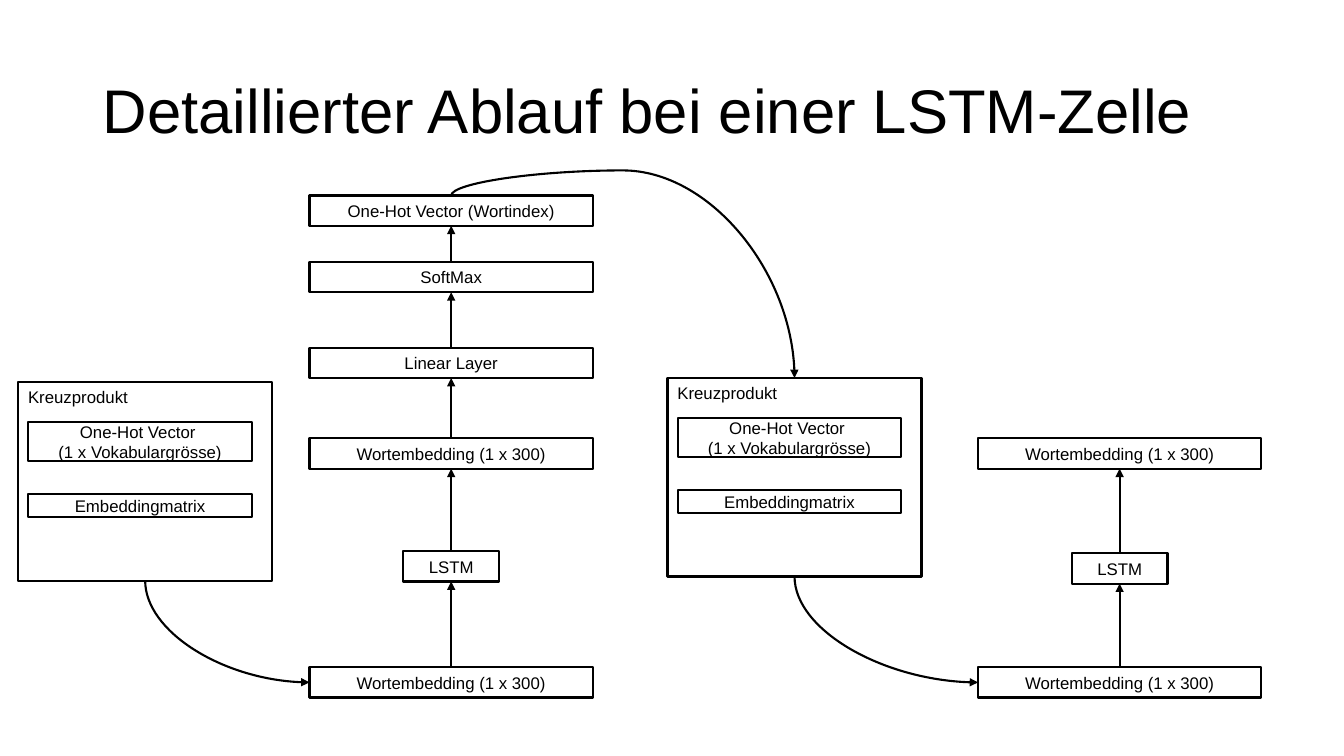
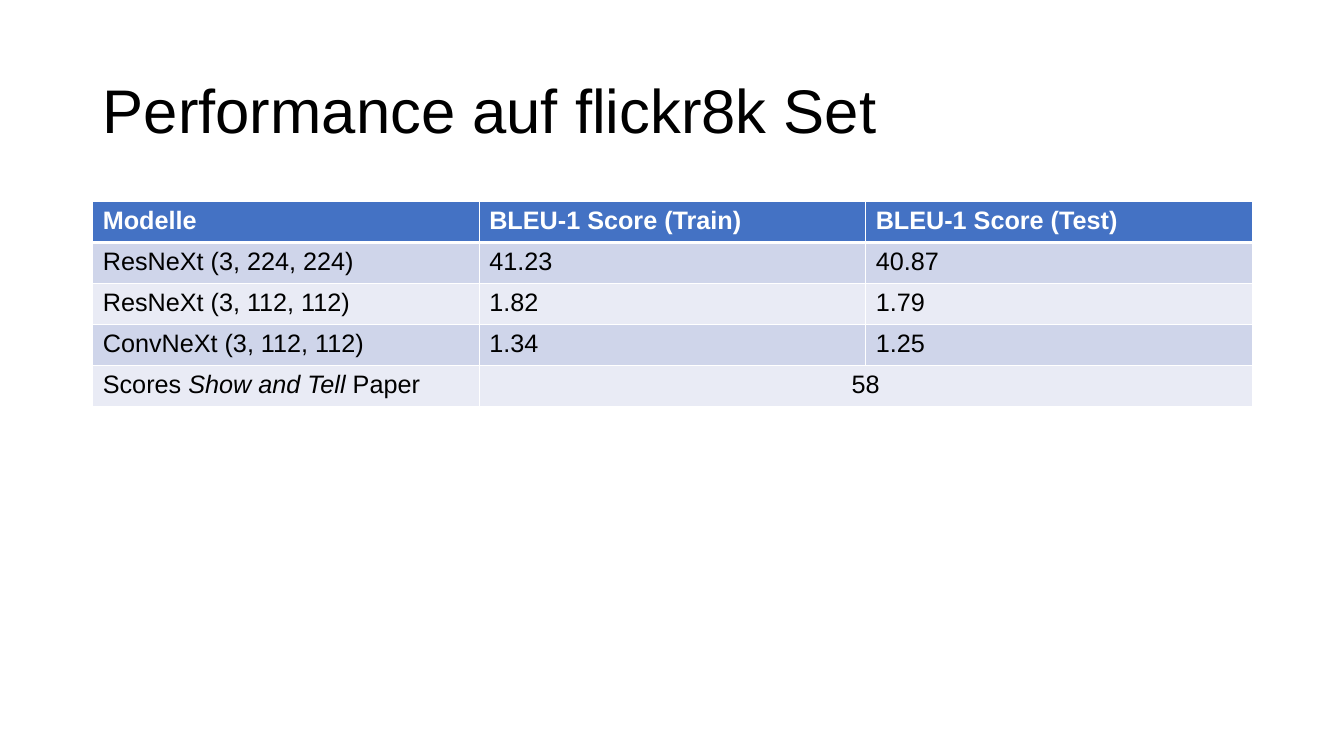
from dataclasses import dataclass
from itertools import pairwise
from typing import NamedTuple

from pptx import Presentation
from pptx import util as u
from pptx.dml.color import RGBColor
from pptx.enum import shapes, text
from pptx.oxml import parse_xml
from pptx.oxml.ns import nsdecls, qn
from pptx.oxml.xmlchemy import OxmlElement

# Shared look
FONT = "Arial"
BLACK = RGBColor(0x00, 0x00, 0x00)
WHITE = RGBColor(0xFF, 0xFF, 0xFF)
HEADER_BLUE = RGBColor(0x44, 0x72, 0xC4)
BAND_DARK = RGBColor(0xCF, 0xD5, 0xEA)
BAND_LIGHT = RGBColor(0xE9, 0xEB, 0xF5)
LINE_WIDTH = u.Pt(1.5)
TITLE_ONLY = 5

# Connection sites of a rectangle
TOP, LEFT, BOTTOM = 0, 1, 2


@dataclass(frozen=True)
class Box:
    label: str
    left: int
    top: int
    width: int
    height: int = 30
    align: text.PP_ALIGN = text.PP_ALIGN.CENTER
    anchor: text.MSO_ANCHOR = text.MSO_ANCHOR.MIDDLE


@dataclass(frozen=True)
class Layer:
    label: str
    top: int
    width: int = 281


class Span(NamedTuple):
    words: str
    italic: bool = False


def px(length: int) -> int:
    """Scale: 100 px to the inch."""
    return u.Inches(length / 100)


def style_font(font, size: int, color: RGBColor, bold: bool = False) -> None:
    font.name = FONT
    font.size = u.Pt(size)
    font.bold = bold
    font.color.rgb = color


def add_page(deck, heading: str):
    page = deck.slides.add_slide(deck.slide_layouts[TITLE_ONLY])
    title = page.shapes.title
    title.left, title.top, title.width, title.height = map(px, (92, 40, 1150, 145))
    frame = title.text_frame
    frame.text = heading
    frame.auto_size = text.MSO_AUTO_SIZE.NONE
    frame.vertical_anchor = text.MSO_ANCHOR.MIDDLE
    para = frame.paragraphs[0]
    para.alignment = text.PP_ALIGN.LEFT
    para.line_spacing = 0.9
    style_font(para.runs[0].font, 44, BLACK)
    return page


# Diagram parts
def draw_box(target, box: Box):
    shape = target.add_shape(
        shapes.MSO_SHAPE.RECTANGLE,
        *map(px, (box.left, box.top, box.width, box.height)),
    )
    shape.shadow.inherit = False
    shape.fill.background()
    shape.line.color.rgb = BLACK
    shape.line.width = LINE_WIDTH
    frame = shape.text_frame
    frame.word_wrap = True
    frame.auto_size = text.MSO_AUTO_SIZE.NONE
    frame.vertical_anchor = box.anchor
    para = frame.paragraphs[0]
    para.text = box.label
    para.alignment = box.align
    for span in para.runs:
        style_font(span.font, 12, BLACK)
    return shape


def site_point(shape, site: int) -> tuple[int, int]:
    middle_x = shape.left + shape.width // 2
    return {
        TOP: (middle_x, shape.top),
        LEFT: (shape.left, shape.top + shape.height // 2),
        BOTTOM: (middle_x, shape.top + shape.height),
    }[site]


def draw_arrow(page, start, start_site: int, end, end_site: int,
               kind=shapes.MSO_CONNECTOR.STRAIGHT):
    arrow = page.shapes.add_connector(
        kind, *site_point(start, start_site), *site_point(end, end_site)
    )
    arrow.begin_connect(start, start_site)
    arrow.end_connect(end, end_site)
    arrow.line.color.rgb = BLACK
    arrow.line.width = LINE_WIDTH
    head = OxmlElement("a:tailEnd")
    head.set("type", "triangle")
    arrow.line._get_or_add_ln().append(head)
    arrow._element.spPr.append(OxmlElement("a:effectLst"))
    return arrow


def draw_curve(page, start, start_site: int, end, end_site: int,
               preset: str, bend: int | None = None) -> None:
    """Curve to the lower right that leaves its start vertically."""
    curve = draw_arrow(page, start, start_site, end, end_site,
                       shapes.MSO_CONNECTOR.CURVE)
    wide, high = curve.width, curve.height
    curve.left += (wide - high) // 2
    curve.top += (high - wide) // 2
    curve.width, curve.height = high, wide
    properties = curve._element.spPr
    frame = properties.find(qn("a:xfrm"))
    frame.set("rot", "16200000")
    frame.set("flipH", "1")
    geometry = properties.find(qn("a:prstGeom"))
    geometry.set("prst", preset)
    if bend is not None:
        guide = OxmlElement("a:gd")
        guide.set("name", "adj1")
        guide.set("fmla", f"val {bend}")
        geometry.find(qn("a:avLst")).append(guide)


def draw_chain(page, left: int, layers: tuple[Layer, ...]) -> list:
    """Centred layers from bottom to top, joined by arrows."""
    widest = max(layer.width for layer in layers)
    chain = [
        draw_box(page.shapes, Box(layer.label, left + (widest - layer.width) // 2,
                                  layer.top, layer.width))
        for layer in layers
    ]
    for lower, upper in pairwise(chain):
        draw_arrow(page, lower, TOP, upper, BOTTOM)
    return chain


def draw_product(page, left: int, top: int):
    group = page.shapes.add_group_shape()
    parts = (
        Box("One-Hot Vector \v(1 x Vokabulargrösse)", left + 10, top + 40, 222, 38),
        Box("Embeddingmatrix", left + 10, top + 111, 222, 23),
        Box("Kreuzprodukt", left, top, 252, 197,
            text.PP_ALIGN.LEFT, text.MSO_ANCHOR.TOP),
    )
    return [draw_box(group.shapes, part) for part in parts][-1]


def build_lstm_page(deck) -> None:
    page = add_page(deck, "Detaillierter Ablauf bei einer LSTM-Zelle")
    embedding = "Wortembedding (1 x 300)"
    first_chain = draw_chain(page, 307, (
        Layer(embedding, 662),
        Layer("LSTM", 547, 95),
        Layer(embedding, 435),
        Layer("Linear Layer", 345),
        Layer("SoftMax", 260),
        Layer("One-Hot Vector (Wortindex)", 194),
    ))
    second_chain = draw_chain(page, 970, (
        Layer(embedding, 662),
        Layer("LSTM", 549, 95),
        Layer(embedding, 435),
    ))
    first_product = draw_product(page, 18, 379)
    second_product = draw_product(page, 662, 375)
    for product, chain in ((first_product, first_chain),
                           (second_product, second_chain)):
        draw_curve(page, product, BOTTOM, chain[0], LEFT, "curvedConnector2")
    draw_curve(page, first_chain[-1], TOP, second_product, TOP,
               "curvedConnector3", -13800)


# Score table
def set_borders(cell, bottom: int) -> None:
    properties = cell._tc.get_or_add_tcPr()
    for side, points in (("L", 1), ("R", 1), ("T", 1), ("B", bottom)):
        properties.append(parse_xml(
            f'<a:ln{side} {nsdecls("a")} w="{u.Pt(points)}"><a:solidFill>'
            f'<a:srgbClr val="{WHITE}"/></a:solidFill></a:ln{side}>'
        ))


def fill_cell(cell, spans: tuple[Span, ...], row: int) -> None:
    header = row == 0
    set_borders(cell, 3 if header else 1)
    cell.fill.solid()
    band = BAND_DARK if row % 2 else BAND_LIGHT
    cell.fill.fore_color.rgb = HEADER_BLUE if header else band
    para = cell.text_frame.paragraphs[0]
    for words, italic in spans:
        span = para.add_run()
        span.text = words
        style_font(span.font, 18, WHITE if header else BLACK, header)
        span.font.italic = italic


def build_score_page(deck) -> None:
    page = add_page(deck, "Performance auf flickr8k Set")
    paper = (Span("Scores "), Span("Show and Tell", True), Span(" Paper"))
    rows = (
        ("Modelle", "BLEU-1 Score (Train)", "BLEU-1 Score (Test)"),
        ("ResNeXt (3, 224, 224)", "41.23", "40.87"),
        ("ResNeXt (3, 112, 112)", "1.82", "1.79"),
        ("ConvNeXt (3, 112, 112)", "1.34", "1.25"),
        (paper, "58", ()),
    )
    table = page.shapes.add_table(
        len(rows), len(rows[0]), *map(px, (92, 200, 1150, 203))
    ).table
    for row, entries in enumerate(rows):
        for column, entry in enumerate(entries):
            spans = (Span(entry),) if isinstance(entry, str) else entry
            fill_cell(table.cell(row, column), spans, row)
    shared_score = table.cell(len(rows) - 1, 1)
    shared_score.merge(table.cell(len(rows) - 1, 2))
    shared_score.text_frame.paragraphs[0].alignment = text.PP_ALIGN.CENTER


def main() -> None:
    deck = Presentation()
    deck.slide_width, deck.slide_height = px(1333), px(750)
    build_lstm_page(deck)
    build_score_page(deck)
    deck.save("out.pptx")


if __name__ == "__main__":
    main()
